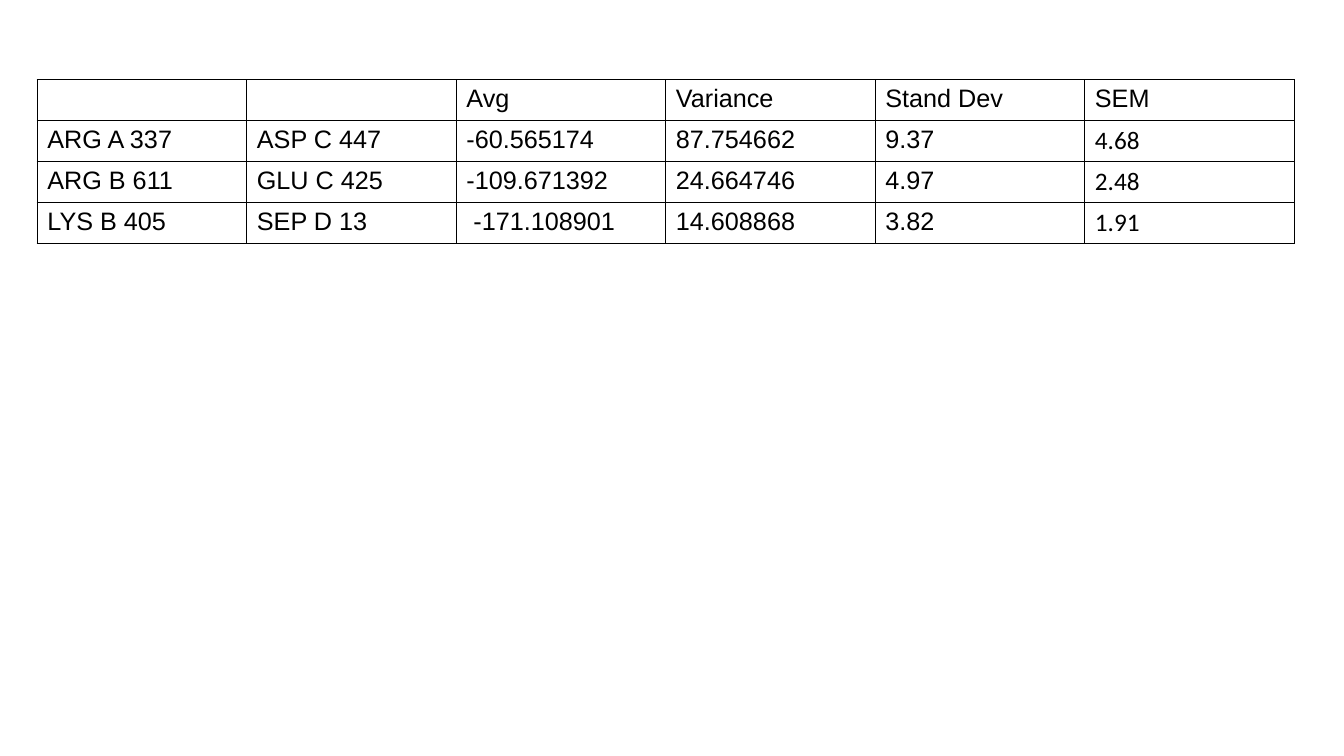
from dataclasses import dataclass

from lxml import etree
from pptx import Presentation
from pptx.dml.color import RGBColor
from pptx.oxml import ns
from pptx.util import Inches, Pt


@dataclass(frozen=True)
class Theme:
    ink: str = "000000"
    size: int = 18
    font: str = "Arial"
    sem_font: str = "Calibri"
    line: int = 1


THEME = Theme()
ROWS = [
    ("", "", "Avg", "Variance", "Stand Dev", "SEM"),
    ("ARG A 337", "ASP C 447", "-60.565174", "87.754662", "9.37", "4.68"),
    ("ARG B 611", "GLU C 425", "-109.671392", "24.664746", "4.97", "2.48"),
    ("LYS B 405", "SEP D 13", " -171.108901", "14.608868", "3.82", "1.91"),
]


def write(frame, words, font=THEME.font, size=THEME.size, color=THEME.ink):
    para = frame.paragraphs[0]
    para.font.size = Pt(size)
    if words:
        run = para.add_run()
        run.text = words
        run.font.name = font
        run.font.size = Pt(size)
        run.font.color.rgb = RGBColor.from_string(color)


def frame_cell(cell):
    """Draw a thin line on all four sides and leave the cell unfilled."""
    props = cell._tc.get_or_add_tcPr()
    for side in ("a:lnL", "a:lnR", "a:lnT", "a:lnB"):
        edge = etree.SubElement(props, ns.qn(side), w=str(Pt(THEME.line)))
        fill = etree.SubElement(edge, ns.qn("a:solidFill"))
        etree.SubElement(fill, ns.qn("a:srgbClr"), val=THEME.ink)
    cell.fill.background()


def add_grid(slide, rows, left, top, width, height):
    count = len(rows[0])
    box = slide.shapes.add_table(len(rows), count, left, top, width, height)
    table = box.table
    table.first_row = table.horz_banding = False
    for r, row in enumerate(rows):
        for c, words in enumerate(row):
            cell = table.cell(r, c)
            is_sem = r > 0 and c == count - 1
            write(cell.text_frame, words,
                  font=THEME.sem_font if is_sem else THEME.font)
            frame_cell(cell)


def main():
    deck = Presentation()
    deck.slide_width, deck.slide_height = Inches(13.33), Inches(7.5)
    slide = deck.slides.add_slide(deck.slide_layouts[6])
    add_grid(slide, ROWS, Inches(0.37), Inches(0.79), Inches(12.47), Inches(1.62))
    deck.save("out.pptx")


if __name__ == "__main__":
    main()
